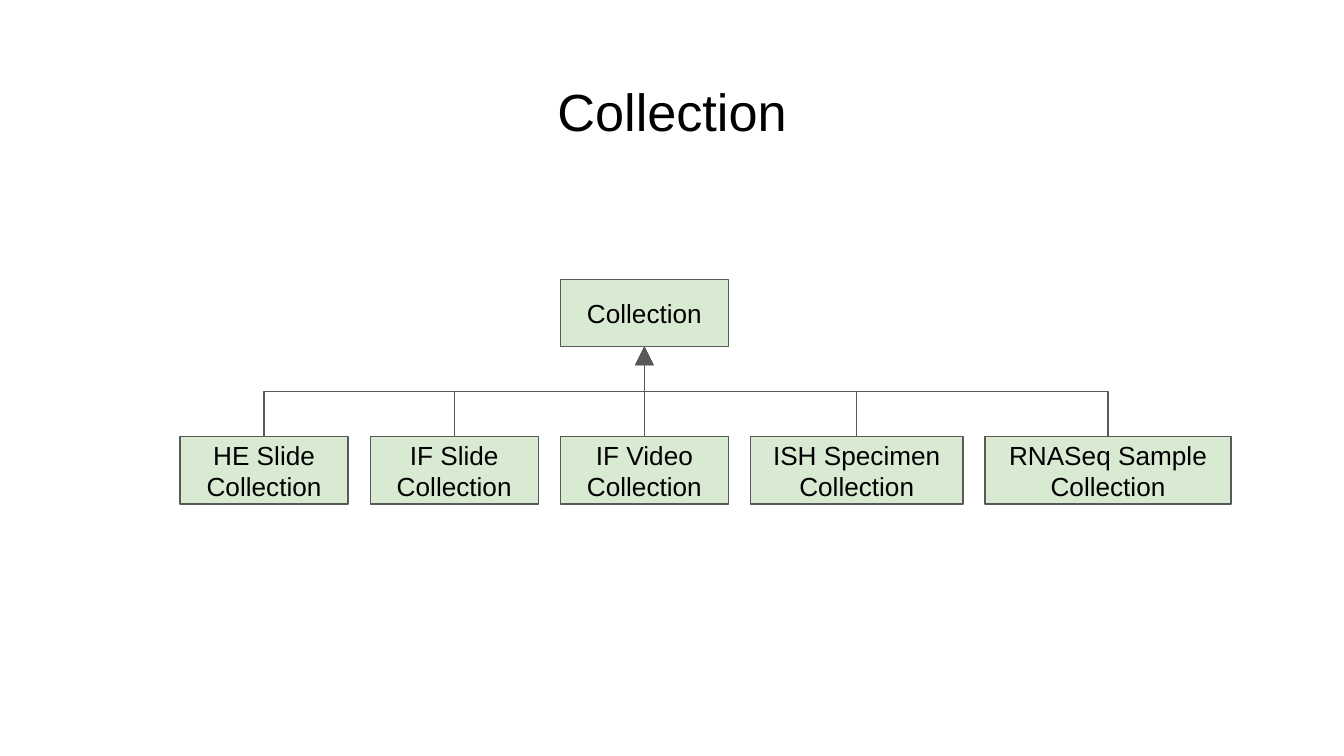
from dataclasses import dataclass

import pptx
import pptx.dml.color
import pptx.enum.shapes
import pptx.enum.text
import pptx.oxml
import pptx.oxml.ns
import pptx.util

Inches = pptx.util.Inches
RGB = pptx.dml.color.RGBColor


@dataclass(frozen=True)
class Theme:
    font: str = "Arial"
    title_size: int = 28
    box_size: int = 14
    line_width: float = 0.75
    text: RGB = RGB(0x00, 0x00, 0x00)
    fill: RGB = RGB(0xD9, 0xEA, 0xD3)
    line: RGB = RGB(0x59, 0x59, 0x59)


@dataclass(frozen=True)
class ClassBox:
    name: str
    width: float


THEME = Theme()
PARENT = ClassBox("Collection", 1.25)
CHILDREN = [
    ClassBox("HE Slide Collection", 1.25),
    ClassBox("IF Slide Collection", 1.25),
    ClassBox("IF Video Collection", 1.25),
    ClassBox("ISH Specimen Collection", 1.58),
    ClassBox("RNASeq Sample Collection", 1.83),
]
SLIDE_WIDTH = 10
SLIDE_HEIGHT = SLIDE_WIDTH * 9 / 16
BOX_HEIGHT = 0.5
PARENT_TOP = 2.08
CHILD_TOP = 3.25
ROW_LEFT = 1.34
ROW_RIGHT = 9.16
GAP = (ROW_RIGHT - ROW_LEFT - sum(box.width for box in CHILDREN)) / (
    len(CHILDREN) - 1
)
MIDDLE = len(CHILDREN) // 2


def set_text(shape, text: str, size: int, anchor) -> None:
    tf = shape.text_frame
    tf.text = text
    tf.word_wrap = True
    tf.vertical_anchor = anchor
    tf.margin_left = tf.margin_right = Inches(0.1)
    tf.margin_top = tf.margin_bottom = Inches(0.1)
    p = tf.paragraphs[0]
    p.alignment = pptx.enum.text.PP_ALIGN.CENTER
    font = p.runs[0].font
    font.name = THEME.font
    font.size = pptx.util.Pt(size)
    font.color.rgb = THEME.text


def style_line(line) -> None:
    line.color.rgb = THEME.line
    line.width = pptx.util.Pt(THEME.line_width)


def draw_box(s, box: ClassBox, left: float, top: float):
    sp = s.shapes.add_shape(
        pptx.enum.shapes.MSO_SHAPE.RECTANGLE,
        Inches(left), Inches(top), Inches(box.width), Inches(BOX_HEIGHT),
    )
    sp.shadow.inherit = False
    sp.fill.solid()
    sp.fill.fore_color.rgb = THEME.fill
    style_line(sp.line)
    set_text(sp, box.name, THEME.box_size, pptx.enum.text.MSO_ANCHOR.MIDDLE)
    return sp


def draw_inheritance(s, child, parent) -> None:
    x1, y1 = child.left + child.width // 2, child.top
    x2, y2 = parent.left + parent.width // 2, parent.top + parent.height
    cxn = s.shapes.add_connector(
        pptx.enum.shapes.MSO_CONNECTOR.ELBOW, x1, y1, x2, y2
    )
    cxn.begin_connect(child, 0)
    cxn.end_connect(parent, 2)
    rise, run = y1 - y2, abs(x2 - x1)
    cxn.left, cxn.top = (x1 + x2 - rise) // 2, (y1 + y2 - run) // 2
    cxn.width, cxn.height = rise, run

    from_right = x1 > x2
    spPr = cxn._element.spPr
    xfrm = spPr.find(pptx.oxml.ns.qn("a:xfrm"))
    xfrm.set("rot", str((90 if from_right else 270) * 60000))
    xfrm.set("flipH", "1" if from_right else "0")
    xfrm.set("flipV", "0")

    style_line(cxn.line)
    ns = pptx.oxml.ns.nsdecls("a")
    ln = spPr.find(pptx.oxml.ns.qn("a:ln"))
    ln.append(
        pptx.oxml.parse_xml(f'<a:tailEnd {ns} type="triangle" w="lg" len="lg"/>')
    )
    spPr.append(pptx.oxml.parse_xml(f"<a:effectLst {ns}/>"))


def draw_title(s, text: str) -> None:
    title = s.shapes.title
    title.left, title.top = Inches(0.34), Inches(0.49)
    title.width, title.height = Inches(9.32), Inches(0.63)
    set_text(title, text, THEME.title_size, pptx.enum.text.MSO_ANCHOR.TOP)


def main() -> None:
    prs = pptx.Presentation()
    prs.slide_width, prs.slide_height = Inches(SLIDE_WIDTH), Inches(SLIDE_HEIGHT)
    s = prs.slides.add_slide(prs.slide_layouts.get_by_name("Title Only"))
    draw_title(s, "Collection")

    lefts = [
        ROW_LEFT + sum(box.width + GAP for box in CHILDREN[:i])
        for i in range(len(CHILDREN))
    ]
    parent = draw_box(s, PARENT, lefts[MIDDLE], PARENT_TOP)
    children = [
        draw_box(s, box, left, CHILD_TOP) for box, left in zip(CHILDREN, lefts)
    ]
    for child in children:
        draw_inheritance(s, child, parent)

    prs.save("out.pptx")


if __name__ == "__main__":
    main()
